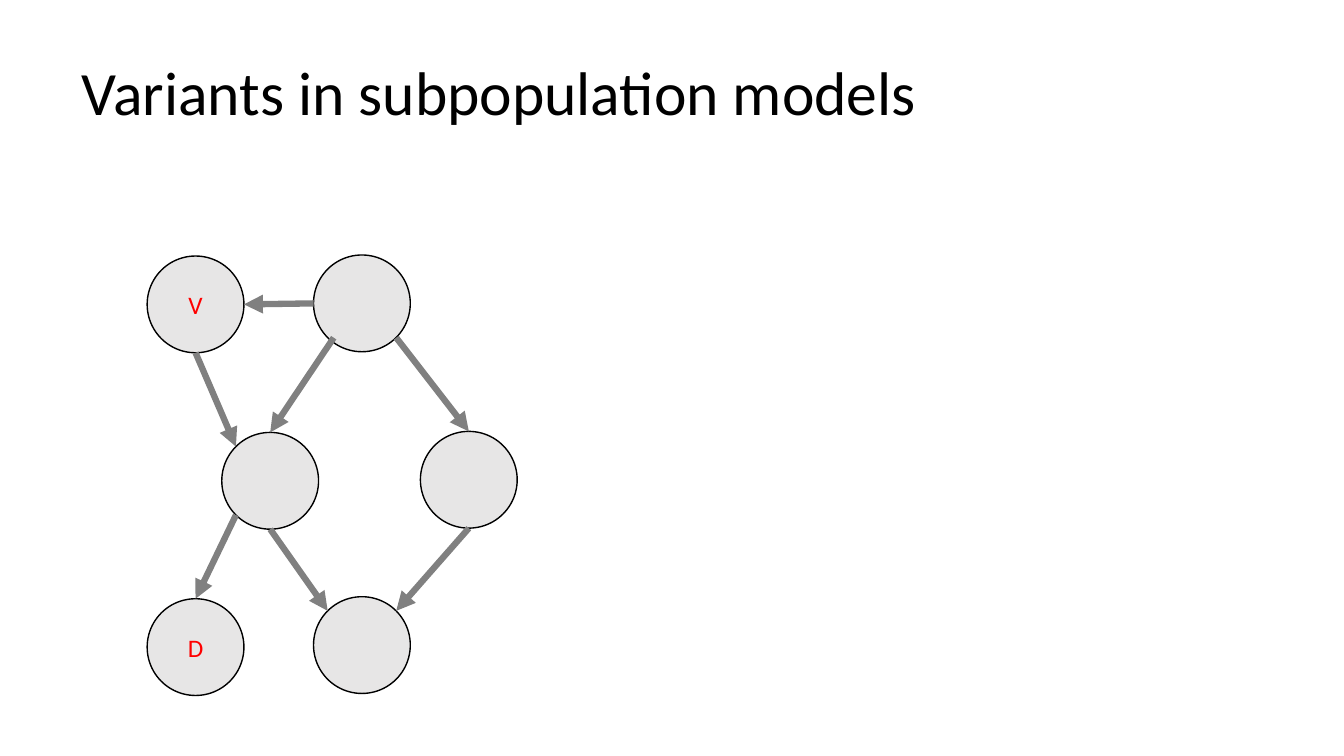
import dataclasses

import pptx
import pptx.dml.color
import pptx.enum.shapes
import pptx.enum.text
import pptx.oxml
import pptx.oxml.ns
import pptx.util

PX = 9144  # EMU, one hundredth of an inch


@dataclasses.dataclass(frozen=True)
class Theme:
    font: str = "Calibri"
    title_size: int = 44
    label_size: int = 18
    title_color: str = "000000"
    label_color: str = "FF0000"
    node_fill: str = "E7E6E6"
    node_line: str = "000000"
    arrow: str = "808080"
    node_line_width: float = 1
    arrow_width: float = 4.5


THEME = Theme()
DIAMETER = 96
RADIUS = DIAMETER // 2
DIAGONAL = 34

# Left and top of each subpopulation circle, and its label
SUBPOPULATIONS = {
    "source": (311, 253, ""),
    "left": (220, 429, ""),
    "sink": (311, 592, ""),
    "right": (417, 428, ""),
    "variant": (146, 254, "V"),
    "disease": (146, 594, "D"),
}

# Offsets from a circle's centre to the points where arrows attach
ANCHORS = {
    "top": (0, -RADIUS),
    "bottom": (0, RADIUS),
    "west": (-RADIUS, 0),
    "east": (RADIUS, 0),
    "top left": (-DIAGONAL, -DIAGONAL),
    "top right": (DIAGONAL, -DIAGONAL),
    "bottom left": (-DIAGONAL, DIAGONAL),
    "bottom right": (DIAGONAL, DIAGONAL),
    "inner bottom left": (-28, DIAGONAL),
}

FLOWS = [
    ("source", "inner bottom left", "left", "top"),
    ("left", "bottom", "sink", "top left"),
    ("source", "bottom right", "right", "top"),
    ("right", "bottom", "sink", "top right"),
    ("source", "west", "variant", "east"),
    ("variant", "bottom", "left", "top left"),
    ("left", "bottom left", "disease", "top"),
]


def rgb(color):
    return pptx.dml.color.RGBColor.from_string(color)


def write_text(frame, text, *, size, color, align, line_spacing=None):
    frame.word_wrap = True
    frame.auto_size = pptx.enum.text.MSO_AUTO_SIZE.NONE
    frame.vertical_anchor = pptx.enum.text.MSO_ANCHOR.MIDDLE
    paragraph = frame.paragraphs[0]
    paragraph.alignment = align
    paragraph.line_spacing = line_spacing
    run = paragraph.add_run()
    run.text = text
    run.font.name = THEME.font
    run.font.size = pptx.util.Pt(size)
    run.font.color.rgb = rgb(color)


def add_title(slide, text):
    title = slide.shapes.title
    title.left, title.top, title.width, title.height = (
        length * PX for length in (71, 22, 1150, 145)
    )
    write_text(title.text_frame, text, size=THEME.title_size,
               color=THEME.title_color, align=pptx.enum.text.PP_ALIGN.LEFT,
               line_spacing=0.9)


def add_subpopulation(slide, left, top, label):
    circle = slide.shapes.add_shape(
        pptx.enum.shapes.MSO_SHAPE.OVAL,
        left * PX, top * PX, DIAMETER * PX, DIAMETER * PX)
    circle.shadow.inherit = False
    circle.fill.solid()
    circle.fill.fore_color.rgb = rgb(THEME.node_fill)
    circle.line.color.rgb = rgb(THEME.node_line)
    circle.line.width = pptx.util.Pt(THEME.node_line_width)
    if label:
        write_text(circle.text_frame, label, size=THEME.label_size,
                   color=THEME.label_color,
                   align=pptx.enum.text.PP_ALIGN.CENTER)


def anchor_point(name, anchor):
    left, top, _ = SUBPOPULATIONS[name]
    dx, dy = ANCHORS[anchor]
    return (left + RADIUS + dx) * PX, (top + RADIUS + dy) * PX


def add_flow(slide, origin, origin_anchor, target, target_anchor):
    flow = slide.shapes.add_connector(
        pptx.enum.shapes.MSO_CONNECTOR.STRAIGHT,
        *anchor_point(origin, origin_anchor),
        *anchor_point(target, target_anchor))
    flow.line.color.rgb = rgb(THEME.arrow)
    flow.line.width = pptx.util.Pt(THEME.arrow_width)
    head = pptx.oxml.parse_xml(
        f'<a:tailEnd {pptx.oxml.ns.nsdecls("a")} type="triangle"/>')
    flow.line._get_or_add_ln().append(head)
    no_shadow = pptx.oxml.parse_xml(
        f'<a:effectLst {pptx.oxml.ns.nsdecls("a")}/>')
    flow._element.spPr.append(no_shadow)


def main():
    deck = pptx.Presentation()
    deck.slide_width, deck.slide_height = 1333 * PX, 750 * PX
    slide = deck.slides.add_slide(deck.slide_layouts.get_by_name("Title Only"))
    add_title(slide, "Variants in subpopulation models")
    for left, top, label in SUBPOPULATIONS.values():
        add_subpopulation(slide, left, top, label)
    for flow in FLOWS:
        add_flow(slide, *flow)
    deck.save("out.pptx")


if __name__ == "__main__":
    main()
